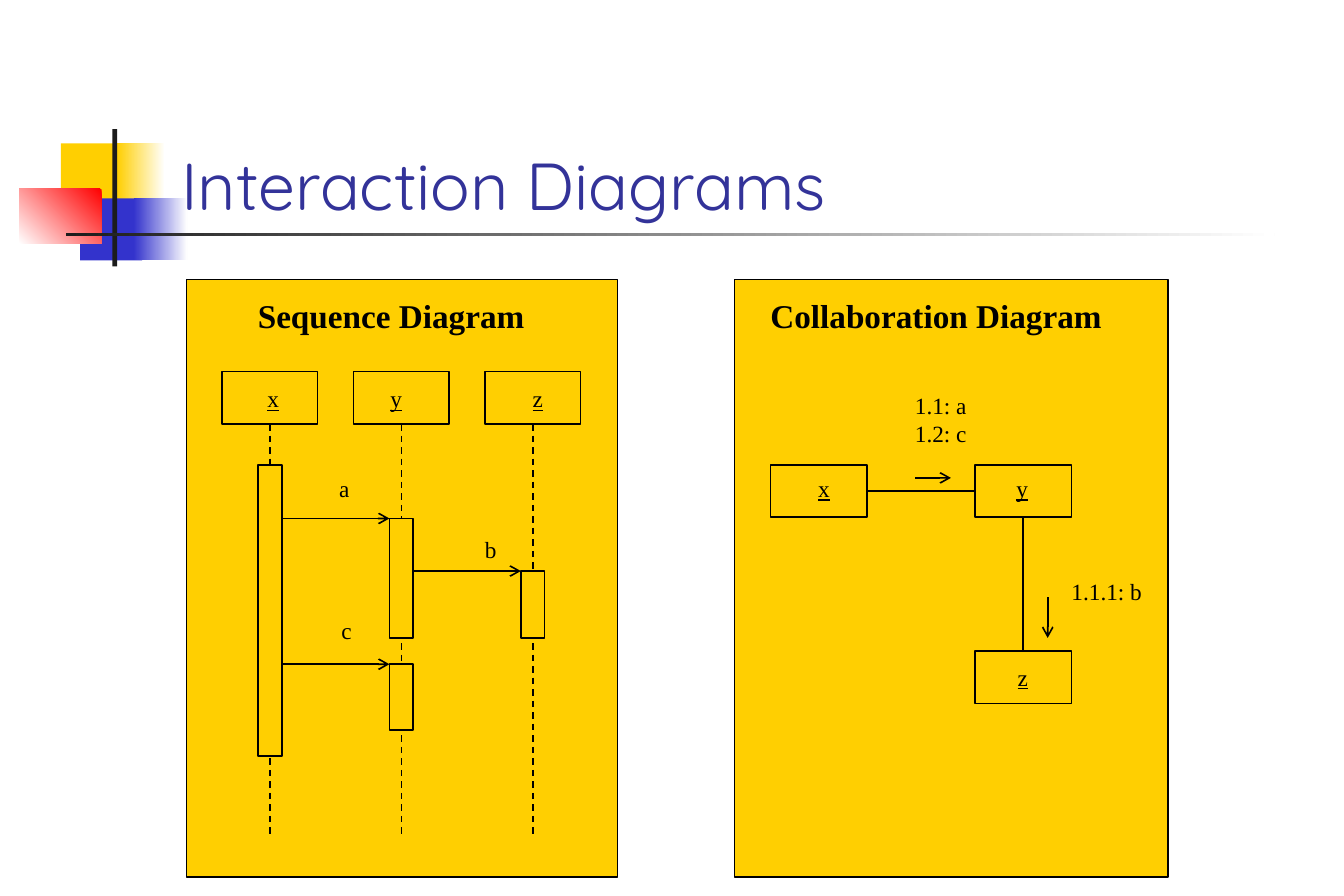
from lxml.etree import SubElement
from pptx import Presentation
from pptx.dml.color import RGBColor
from pptx.enum.dml import MSO_LINE
from pptx.enum.shapes import MSO_CONNECTOR, MSO_SHAPE
from pptx.enum.text import MSO_ANCHOR, MSO_AUTO_SIZE
from pptx.oxml.ns import qn
from pptx.util import Emu, Pt

YELLOW = RGBColor(0xFF, 0xCF, 0x01)
BLUE = RGBColor(0x33, 0x33, 0xCC)
RED = RGBColor(0xFF, 0x00, 0x00)
CHARCOAL = RGBColor(0x1C, 0x1C, 0x1C)
INDIGO = RGBColor(0x33, 0x33, 0x99)
BLACK = RGBColor(0x00, 0x00, 0x00)
WHITE = RGBColor(0xFF, 0xFF, 0xFF)
EMU_PER_PX = 9144
TOP, LEFT, BOTTOM, RIGHT = range(4)


def px(*lengths):
    return [Emu(length * EMU_PER_PX) for length in lengths]


class DiagramPage:
    """Draws diagram elements in one style on the current slide."""

    title_font = "Quicksand"
    body_font = "Times New Roman"

    def __init__(self, page):
        self.page = page

    def rect(self, left, top, width, height, fill=YELLOW):
        box = self.page.shapes.add_shape(MSO_SHAPE.RECTANGLE, *px(left, top, width, height))
        box.shadow.inherit = False
        box.fill.solid()
        box.fill.fore_color.rgb = fill
        box.line.fill.background()
        return box

    def fade(self, left, top, width, height, start, end=WHITE, angle=0):
        box = self.rect(left, top, width, height)
        box.fill.gradient()
        box.fill.gradient_angle = angle
        for stop, color, position in zip(box.fill.gradient_stops, (start, end), (0, 1)):
            stop.color.rgb = color
            stop.position = position

    def outlined(self, left, top, width, height):
        box = self.rect(left, top, width, height)
        box.line.color.rgb = BLACK
        box.line.width = Pt(1)
        return box

    def line(self, x1, y1, x2, y2, arrow=False, dashed=False, begin=None, end=None):
        line = self.page.shapes.add_connector(MSO_CONNECTOR.STRAIGHT, *px(x1, y1, x2, y2))
        if begin:
            line.begin_connect(*begin)
        if end:
            line.end_connect(*end)
        line.line.color.rgb = BLACK
        line.line.width = Pt(1)
        if dashed:
            line.line.dash_style = MSO_LINE.DASH
        if arrow:
            SubElement(line.line._get_or_add_ln(), qn("a:tailEnd"), type="arrow")
        SubElement(line._element.spPr, qn("a:effectLst"))

    def text(self, left, top, width, height, words, size=14, font=body_font,
             color=BLACK, bold=False, underline=False):
        box = self.page.shapes.add_textbox(*px(left, top, width, height))
        frame = box.text_frame
        frame.word_wrap = True
        para = frame.paragraphs[0]
        para.text = words
        para.font.size = Pt(size)
        para.font.name = font
        para.font.color.rgb = color
        para.font.bold = bold
        para.font.underline = underline
        return box

    def title(self, left, top, width, height, words):
        box = self.text(left, top, width, height, words, 40, self.title_font, INDIGO)
        box.text_frame.vertical_anchor = MSO_ANCHOR.BOTTOM

    def label(self, left, top, width, height, words, **style):
        box = self.text(left, top, width, height, words, **style)
        box.text_frame.auto_size = MSO_AUTO_SIZE.SHAPE_TO_FIT_TEXT
        box.fill.solid()
        box.fill.fore_color.rgb = YELLOW

    def panel(self, left, width, heading, heading_left, heading_width):
        self.outlined(left, 234, width, 500)
        self.label(heading_left, 242, heading_width, 44, heading, size=20, bold=True)

    def participant(self, left, top, width, name, name_left, name_top, name_width):
        box = self.outlined(left, top, width, 44)
        self.label(name_left, name_top, name_width, 34, name, underline=True)
        return box


def draw_header(draw):
    draw.rect(51, 120, 54, 52)
    draw.fade(98, 120, 40, 52, YELLOW)
    draw.rect(67, 166, 52, 52, BLUE)
    draw.fade(112, 166, 45, 52, BLUE)
    draw.fade(16, 158, 69, 46, RED, angle=225)
    draw.rect(94, 108, 4, 115, CHARCOAL)
    draw.fade(55, 195, 1012, 3, CHARCOAL)
    draw.title(142, 67, 959, 125, "Interaction Diagrams")


def draw_sequence(draw):
    draw.panel(156, 361, "Sequence Diagram", 206, 290)
    names = [("x", 214, 36), ("y", 317, 21), ("z", 436, 30)]
    for column, (name, name_left, name_width) in enumerate(names):
        left = 186 + 110 * column
        center = left + 40
        head = draw.participant(left, 311, 80, name, name_left, 317, name_width)
        draw.line(center, 355, center, 700, dashed=True, begin=(head, BOTTOM))
    for column, top, height in [(0, 389, 244), (1, 434, 100), (2, 478, 56), (1, 556, 55)]:
        draw.outlined(216 + 110 * column, top, 20, height)
    for column, y in [(0, 434), (1, 478), (0, 556)]:
        start = 236 + 110 * column
        draw.line(start, y, start + 90, y, arrow=True)
    for message, left, top, width in [("a", 274, 392, 28), ("b", 396, 443, 30), ("c", 276, 511, 28)]:
        draw.label(left, top, width, 34, message)


def draw_collaboration(draw):
    draw.panel(615, 363, "Collaboration Diagram", 635, 335)
    x = draw.participant(645, 389, 81, "x", 675, 392, 33)
    y = draw.participant(816, 389, 81, "y", 841, 392, 34)
    z = draw.participant(816, 545, 81, "z", 842, 550, 41)
    draw.line(726, 411, 816, 411, begin=(x, RIGHT), end=(y, LEFT))
    draw.line(857, 433, 857, 545, begin=(y, BOTTOM), end=(z, TOP))
    draw.line(766, 400, 796, 400, arrow=True)
    draw.line(877, 500, 877, 534, arrow=True)
    draw.label(756, 323, 75, 57, "1.1: a\n1.2: c")
    draw.label(887, 478, 85, 34, "1.1.1: b")


def main():
    deck = Presentation()
    deck.slide_width, deck.slide_height = px(1125, 750)
    draw = DiagramPage(deck.slides.add_slide(deck.slide_layouts[6]))
    draw_header(draw)
    draw_sequence(draw)
    draw_collaboration(draw)
    deck.save("out.pptx")


if __name__ == "__main__":
    main()
